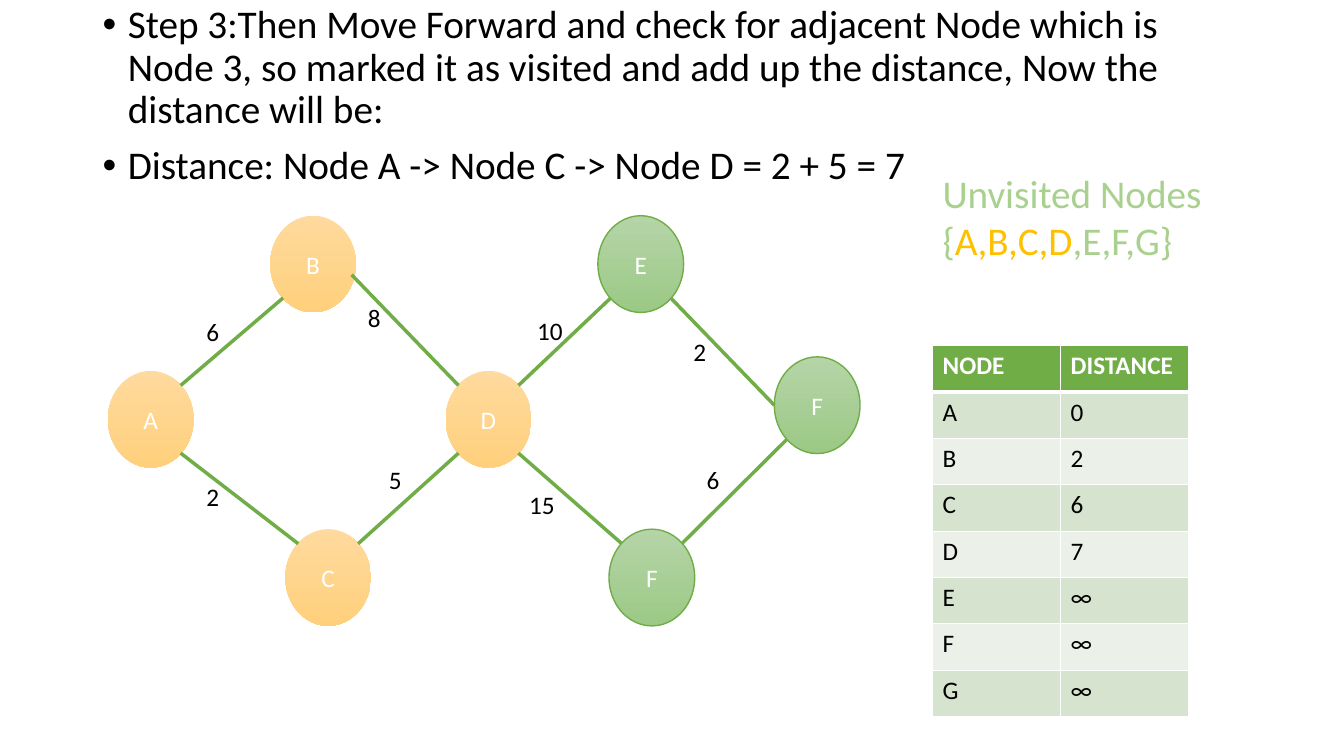
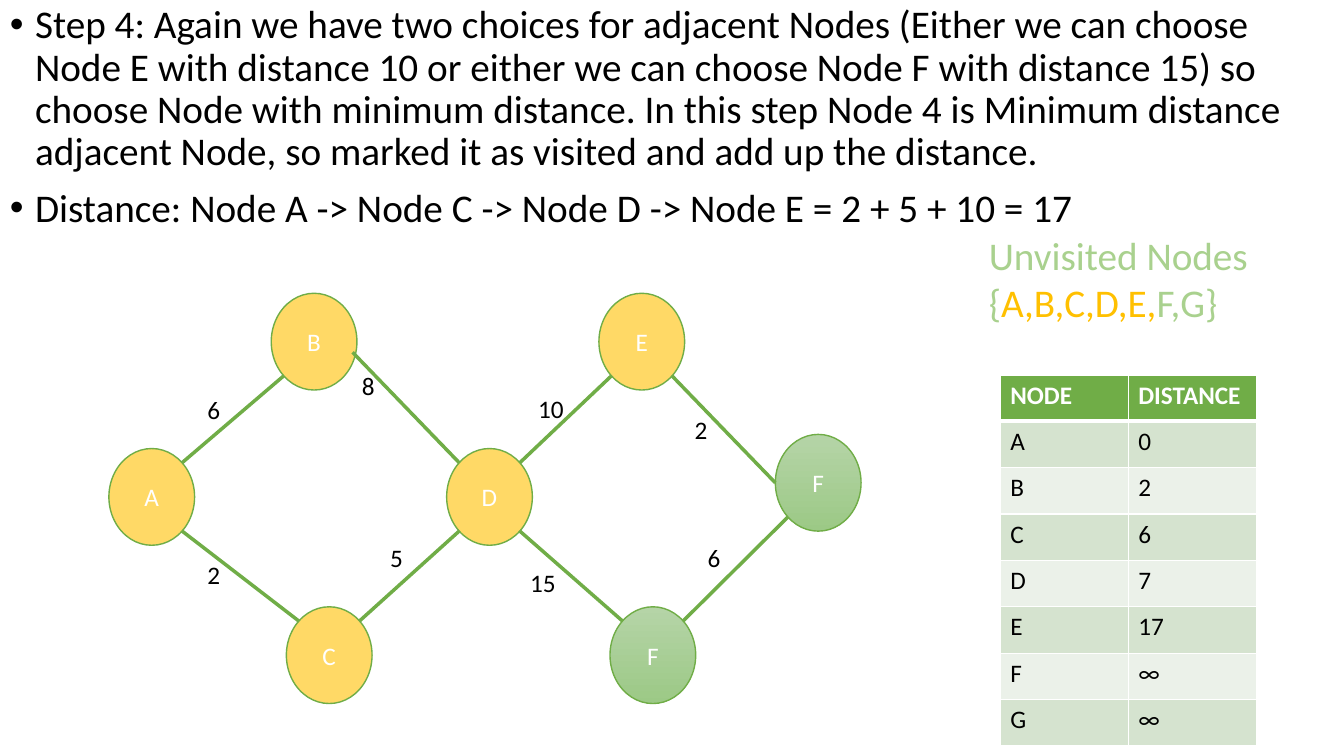
from lxml import etree
from pptx import Presentation
from pptx.dml.color import RGBColor
from pptx.enum.shapes import MSO_CONNECTOR, MSO_SHAPE
from pptx.enum.text import MSO_ANCHOR, PP_ALIGN
from pptx.oxml import parse_xml
from pptx.oxml.ns import nsdecls, qn
from pptx.util import Emu, Pt

EMU_PER_PX = 9144
BLANK_LAYOUT = 6
OVAL = MSO_SHAPE.OVAL
STRAIGHT = MSO_CONNECTOR.STRAIGHT
CENTER = PP_ALIGN.CENTER
MIDDLE = MSO_ANCHOR.MIDDLE

BLACK, WHITE = "000000", "FFFFFF"
GREEN, PALE_GREEN, GOLD = "70AD47", "A9D18E", "FFC000"
BAND_FILLS = ("D5E3CF", "EBF1E9")

BODY = {"name": "Calibri", "size": Pt(28)}
SMALL = {"name": "Calibri", "size": Pt(18)}
HEADER = {**SMALL, "bold": True}
BULLET_PARAGRAPH = {"line_spacing": 0.9, "space_before": Pt(10)}

# Each node style is its fill colours, from top to bottom, and its outline.
UNVISITED = (("B5D4A7", "9CC986"), GREEN)
VISITED_SOFT = (("FFDA9E", "FFD07C"), None)
VISITED_SOLID = (("FFD966",), GREEN)

NODE_WIDTH, NODE_HEIGHT = 85, 96
NODES = {
    "B": ("B", 268, 214),
    "A": ("A", 107, 368),
    "C": ("C", 283, 525),
    "D": ("D", 442, 368),
    "F low": ("F", 604, 525),
    "E": ("E", 593, 214),
    "F right": ("F", 768, 354),
}
# Points on a node's edge, as shares of its width and height.
ANCHORS = {
    "top left": (0.15, 0.15),
    "top right": (0.85, 0.15),
    "bottom left": (0.15, 0.85),
    "bottom right": (0.85, 0.85),
    "left": (0, 0.5),
    "right": (0.95, 0.61),
}
EDGES = [
    ("A", "top right", "B", "bottom left"),
    ("F low", "top right", "F right", "bottom left"),
    ("C", "top right", "D", "bottom left"),
    ("D", "top right", "E", "bottom left"),
    ("B", "right", "D", "top left"),
    ("D", "bottom right", "F low", "top left"),
    ("E", "bottom right", "F right", "left"),
    ("A", "bottom right", "C", "top left"),
]
WEIGHTS = [
    ("6", 691, 456),
    ("10", 523, 308),
    ("15", 515, 481),
    ("2", 195, 473),
    ("2", 678, 329),
    ("6", 195, 309),
    ("5", 376, 456),
]

STEPS = [
    {
        "body": (92, 0, 1150, 676),
        "bullets": [
            "Step 3:Then Move Forward and check for adjacent Node which is Node 3, "
            "so marked it as visited and add up the distance, Now the distance will be:",
            "Distance: Node A -> Node C -> Node D = 2 + 5 = 7",
        ],
        "graph": (0, 0),
        "visited": "ABCD",
        "visited_style": VISITED_SOFT,
        "weight_b_d": ("8", 355, 295),
        "set_at": (925, 163),
        "set_runs": [("{", PALE_GREEN), ("A,B,C,D", GOLD), (",E,F,G}", PALE_GREEN)],
        "table_at": (925, 343),
        "distances": ["0", "2", "6", "7", "∞", "∞", "∞"],
    },
    {
        "body": (0, 0, 1333, 750),
        "bullets": [
            "Step 4: Again we have two choices for adjacent Nodes (Either we can choose "
            "Node E with distance 10 or either we can choose Node F with distance 15) so "
            "choose Node with minimum distance. In this step Node 4 is Minimum distance "
            "adjacent Node, so marked it as visited and add up the distance.",
            "Distance: Node A -> Node C -> Node D -> Node E = 2 + 5 + 10 = 17",
        ],
        "graph": (1, 77),
        "visited": "ABCDE",
        "visited_style": VISITED_SOLID,
        "weight_b_d": ("8", 348, 285),
        "set_at": (971, 225),
        "set_runs": [("{", PALE_GREEN), ("A,B,C,D,E,", GOLD), ("F,G}", PALE_GREEN)],
        "table_at": (992, 372),
        "distances": ["0", "2", "6", "7", "17", "∞", "∞"],
    },
]


def px(*lengths):
    return [Emu(round(length * EMU_PER_PX)) for length in lengths]


def color(hex_string):
    return RGBColor.from_string(hex_string)


def set_attributes(target, values):
    for name, value in values.items():
        setattr(target, name, value)


def add_run(paragraph, text, values, hex_string):
    run = paragraph.add_run()
    run.text = text
    set_attributes(run.font, values)
    run.font.color.rgb = color(hex_string)


def add_bullet(paragraph):
    properties = paragraph._p.get_or_add_pPr()
    properties.set("marL", "228600")
    properties.set("indent", "-228600")
    etree.SubElement(properties, qn("a:buFont")).set("typeface", "Arial")
    etree.SubElement(properties, qn("a:buChar")).set("char", "•")


def set_borders(cell, widths):
    """Draw white borders; widths maps L, R, T and B, in that order, to points."""
    properties = cell._tc.get_or_add_tcPr()
    for index, (side, width) in enumerate(widths.items()):
        properties.insert(index, parse_xml(
            f'<a:ln{side} {nsdecls("a")} w="{Pt(width)}"><a:solidFill>'
            f'<a:srgbClr val="{WHITE}"/></a:solidFill></a:ln{side}>'))


class StepDeck:
    """The presentation, its shared style and the slide being filled."""

    def __init__(self):
        self.presentation = Presentation()
        width, height = px(1333, 750)
        set_attributes(self.presentation,
                       {"slide_width": width, "slide_height": height})
        self.slide = None

    def start_slide(self):
        layout = self.presentation.slide_layouts[BLANK_LAYOUT]
        self.slide = self.presentation.slides.add_slide(layout)

    def text(self, box, lines, values):
        """Add a text box; each line is a list of (text, colour) runs."""
        frame = self.slide.shapes.add_textbox(*px(*box)).text_frame
        frame.word_wrap = True
        for index, runs in enumerate(lines):
            paragraph = frame.add_paragraph() if index else frame.paragraphs[0]
            for text, hex_string in runs:
                add_run(paragraph, text, values, hex_string)
        return frame

    def bullets(self, box, lines):
        frame = self.text(box, [[(line, BLACK)] for line in lines], BODY)
        for paragraph in frame.paragraphs:
            set_attributes(paragraph, BULLET_PARAGRAPH)
            add_bullet(paragraph)

    def node(self, label, left, top, style):
        fills, outline = style
        shape = self.slide.shapes.add_shape(
            OVAL, *px(left, top, NODE_WIDTH, NODE_HEIGHT))
        shape.shadow.inherit = False
        if len(fills) == 1:
            shape.fill.solid()
            shape.fill.fore_color.rgb = color(fills[0])
        else:
            shape.fill.gradient()
            shape.fill.gradient_angle = 270
            for stop, hex_string in zip(shape.fill.gradient_stops, fills):
                stop.color.rgb = color(hex_string)
        if outline:
            shape.line.color.rgb = color(outline)
            shape.line.width = Pt(1)
        else:
            shape.line.fill.background()
        frame = shape.text_frame
        frame.vertical_anchor = MIDDLE
        frame.paragraphs[0].alignment = CENTER
        add_run(frame.paragraphs[0], label, SMALL, WHITE)

    def edge(self, start, end):
        connector = self.slide.shapes.add_connector(STRAIGHT, *px(*start, *end))
        connector.line.color.rgb = color(GREEN)
        connector.line.width = Pt(2.5)
        etree.SubElement(connector._element.spPr, qn("a:effectLst"))

    def graph(self, offset, visited, visited_style, weights):
        shift_x, shift_y = offset

        def anchor_point(node, anchor):
            _, left, top = NODES[node]
            share_x, share_y = ANCHORS[anchor]
            return (left + shift_x + share_x * NODE_WIDTH,
                    top + shift_y + share_y * NODE_HEIGHT)

        for label, left, top in NODES.values():
            style = visited_style if label in visited else UNVISITED
            self.node(label, left + shift_x, top + shift_y, style)
        for start, start_anchor, end, end_anchor in EDGES:
            self.edge(anchor_point(start, start_anchor),
                      anchor_point(end, end_anchor))
        for weight, left, top in weights:
            self.text((left + shift_x, top + shift_y, 116, 40),
                      [[(weight, BLACK)]], SMALL)

    def distance_table(self, position, distances):
        rows = [("NODE", "DISTANCE"), *zip("ABCDEFG", distances)]
        column_width, row_height = 127, 46
        size = (2 * column_width, len(rows) * row_height)
        table = self.slide.shapes.add_table(
            len(rows), 2, *px(*position, *size)).table
        for row_index, row in enumerate(rows):
            is_header = row_index == 0
            fill = GREEN if is_header else BAND_FILLS[(row_index - 1) % 2]
            widths = {"L": 0.96, "R": 0.96,
                      "T": 3 if row_index == 1 else 0.96,
                      "B": 3 if is_header else 0.96}
            for column_index, text in enumerate(row):
                cell = table.cell(row_index, column_index)
                cell.fill.solid()
                cell.fill.fore_color.rgb = color(fill)
                add_run(cell.text_frame.paragraphs[0], text,
                        HEADER if is_header else SMALL,
                        WHITE if is_header else BLACK)
                set_borders(cell, widths)


def main():
    deck = StepDeck()
    for step in STEPS:
        deck.start_slide()
        deck.bullets(step["body"], step["bullets"])
        deck.graph(step["graph"], step["visited"], step["visited_style"],
                   [*WEIGHTS, step["weight_b_d"]])
        deck.text((*step["set_at"], 340, 110),
                  [[("Unvisited Nodes", PALE_GREEN)], step["set_runs"]], BODY)
        deck.distance_table(step["table_at"], step["distances"])
    deck.presentation.save("out.pptx")


if __name__ == "__main__":
    main()
